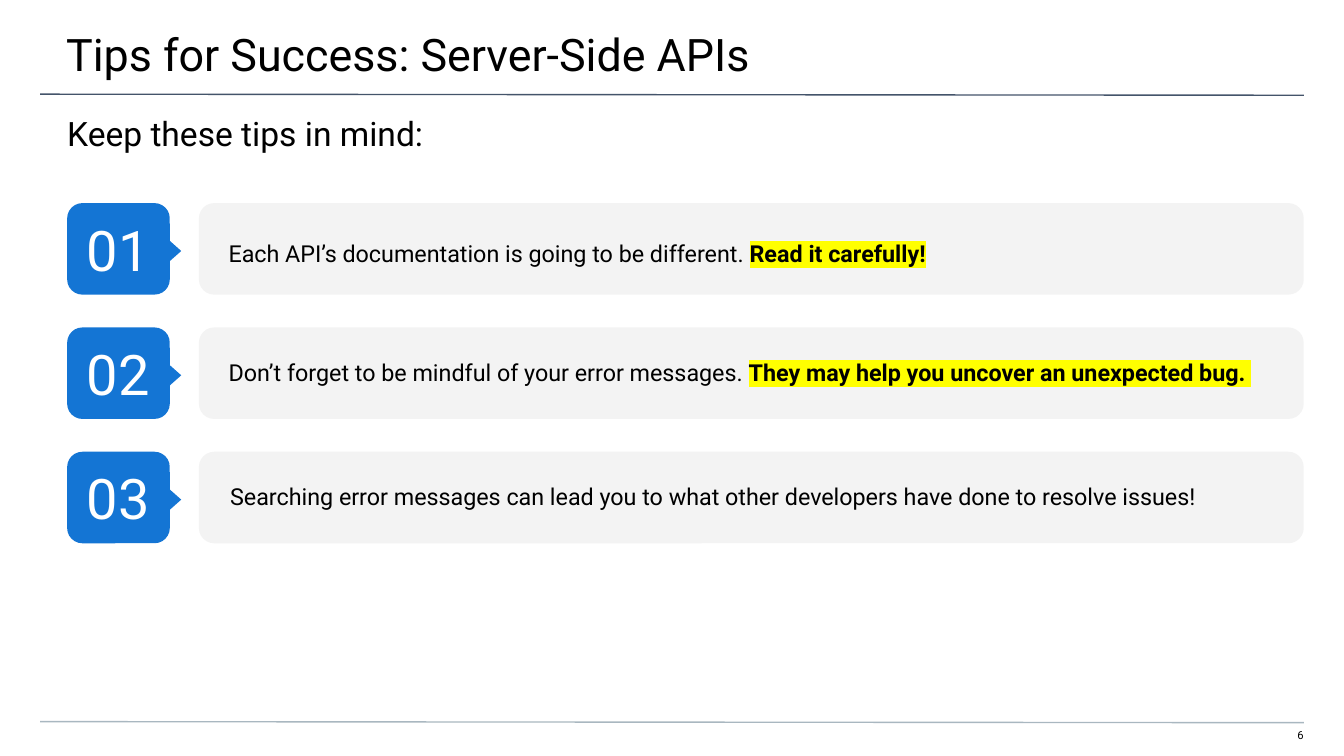
from dataclasses import dataclass

from lxml import etree
from pptx import Presentation
from pptx import util as u
from pptx.dml.color import RGBColor
from pptx.enum import shapes, text
from pptx.oxml import ns

BLACK = RGBColor(0x00, 0x00, 0x00)
WHITE = RGBColor(0xFF, 0xFF, 0xFF)
BLUE = RGBColor(0x14, 0x75, 0xD4)
PANEL_GREY = RGBColor(0xF3, 0xF3, 0xF3)
NAVY = RGBColor(0x44, 0x54, 0x6A)
PALE_BLUE = RGBColor(0xA9, 0xB7, 0xC0)
FONT = "Roboto"
HIGHLIGHT = "FFFF00"

# Row grid, in centimetres
FIRST_ROW_TOP = 3.84
ROW_PITCH = 2.35
ROW_HEIGHT = 1.73
BADGE_LEFT, BADGE_WIDTH = 1.27, 1.94
PANEL_LEFT, PANEL_WIDTH = 3.76, 20.88
POINTER_WIDTH, POINTER_HEIGHT = 0.94, 0.53
TIP_INSETS = (4.32, 0, 1.27, 0)


@dataclass(frozen=True)
class Tip:
    advice: str
    emphasis: str = ""
    text_left: float = 0
    text_shift: float = 0


TIPS = [
    Tip("Each API’s documentation is going to be different. ", "Read it carefully!",
        text_shift=0.1),
    Tip("Don’t forget to be mindful of your error messages. ",
        "They may help you uncover an unexpected bug. "),
    Tip("Searching error messages can lead you to what other developers "
        "have done to resolve issues!", text_left=0.03),
]


def write(shape, words: str, *, size: float, color: RGBColor = BLACK,
          emphasis: str = "", insets: tuple = (0.25, 0.25, 0.25, 0.25),
          align=text.PP_ALIGN.LEFT, anchor=text.MSO_ANCHOR.TOP) -> None:
    """Fill a shape with one paragraph, ending in highlighted bold words if any."""
    frame = shape.text_frame
    frame.word_wrap = True
    frame.vertical_anchor = anchor
    (frame.margin_left, frame.margin_top,
     frame.margin_right, frame.margin_bottom) = map(u.Cm, insets)
    paragraph = frame.paragraphs[0]
    paragraph.alignment = align
    for part in filter(None, (words, emphasis)):
        run = paragraph.add_run()
        run.text = part
        run.font.size = u.Pt(size)
        run.font.name = FONT
        run.font.color.rgb = color
        if part == emphasis:
            run.font.bold = True
            mark = etree.Element(ns.qn("a:highlight"))
            etree.SubElement(mark, ns.qn("a:srgbClr"), val=HIGHLIGHT)
            run.font._element.find(ns.qn("a:latin")).addprevious(mark)


def add_text(slide, left: float, top: float, width: float, height: float,
             words: str, **style) -> None:
    box = slide.shapes.add_textbox(u.Cm(left), u.Cm(top), u.Cm(width), u.Cm(height))
    write(box, words, **style)


def add_filled(parent, kind, left: float, top: float, width: float, height: float,
               color: RGBColor):
    shape = parent.shapes.add_shape(kind, u.Cm(left), u.Cm(top), u.Cm(width), u.Cm(height))
    shape.shadow.inherit = False
    shape.fill.solid()
    shape.fill.fore_color.rgb = color
    shape.line.fill.background()
    return shape


def add_rule(slide, top: float, color: RGBColor) -> None:
    rule = slide.shapes.add_connector(shapes.MSO_CONNECTOR.STRAIGHT, u.Cm(0.76), u.Cm(top),
                                      u.Cm(24.64), u.Cm(top + 0.02))
    rule.line.color.rgb = color
    rule.line.width = u.Pt(0.75)
    etree.SubElement(rule._element.spPr, ns.qn("a:effectLst"))


def add_tip(slide, number: int, tip: Tip) -> None:
    top = FIRST_ROW_TOP + (number - 1) * ROW_PITCH
    rounded = shapes.MSO_SHAPE.ROUNDED_RECTANGLE
    add_filled(slide, rounded, PANEL_LEFT, top, PANEL_WIDTH, ROW_HEIGHT, PANEL_GREY)

    # Number badge with its pointer
    group = slide.shapes.add_group_shape()
    badge = add_filled(group, rounded, BADGE_LEFT, top, BADGE_WIDTH, ROW_HEIGHT, BLUE)
    write(badge, f"{number:02d}", size=30, color=WHITE,
          align=text.PP_ALIGN.CENTER, anchor=text.MSO_ANCHOR.MIDDLE)
    pointer = add_filled(group, shapes.MSO_SHAPE.FLOWCHART_EXTRACT, 2.69, top + 0.64,
                         POINTER_WIDTH, POINTER_HEIGHT, BLUE)
    pointer.rotation = 90

    add_text(slide, tip.text_left, top + tip.text_shift, 25.45, 1.68, tip.advice,
             emphasis=tip.emphasis, size=12.5, insets=TIP_INSETS,
             anchor=text.MSO_ANCHOR.MIDDLE)


def main() -> None:
    deck = Presentation()
    deck.slide_width, deck.slide_height = u.Cm(25.4), u.Cm(14.29)
    slide = deck.slides.add_slide(deck.slide_layouts[6])

    # Page number and rules
    add_text(slide, 23.9, 13.77, 0.74, 0.3, "6", size=6, insets=(0, 0, 0, 0.25),
             align=text.PP_ALIGN.RIGHT)
    add_rule(slide, 1.78, NAVY)
    add_rule(slide, 13.64, PALE_BLUE)

    # Headings
    add_text(slide, 0, 0, 25.4, 1.47, "Tips for Success: Server-Side APIs", size=24,
             insets=(1.25, 0.51, 0.76, 0.25))
    add_text(slide, 0, 1.88, 25.4, 1.02, "Keep these tips in mind:", size=18,
             insets=(1.27, 0.25, 1.27, 0))

    # Numbered tips
    for number, tip in enumerate(TIPS, start=1):
        add_tip(slide, number, tip)

    deck.save("out.pptx")


if __name__ == "__main__":
    main()
